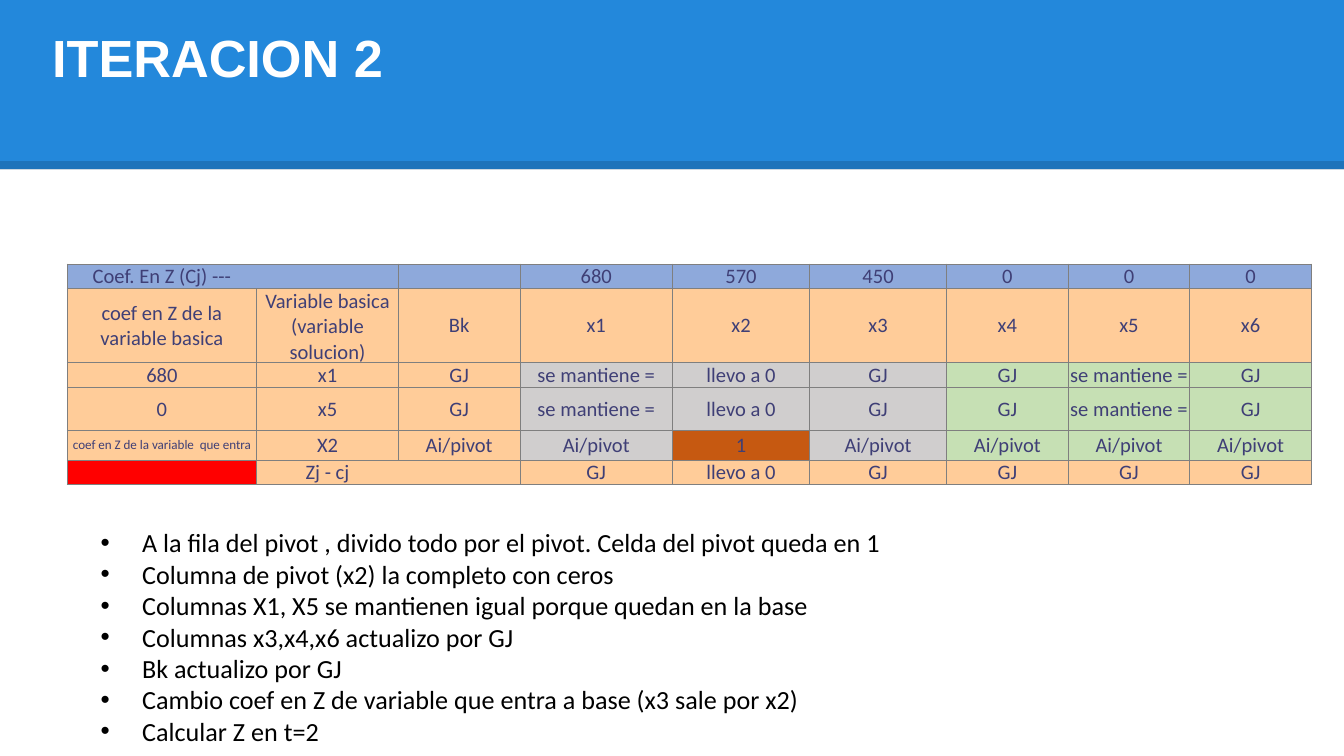
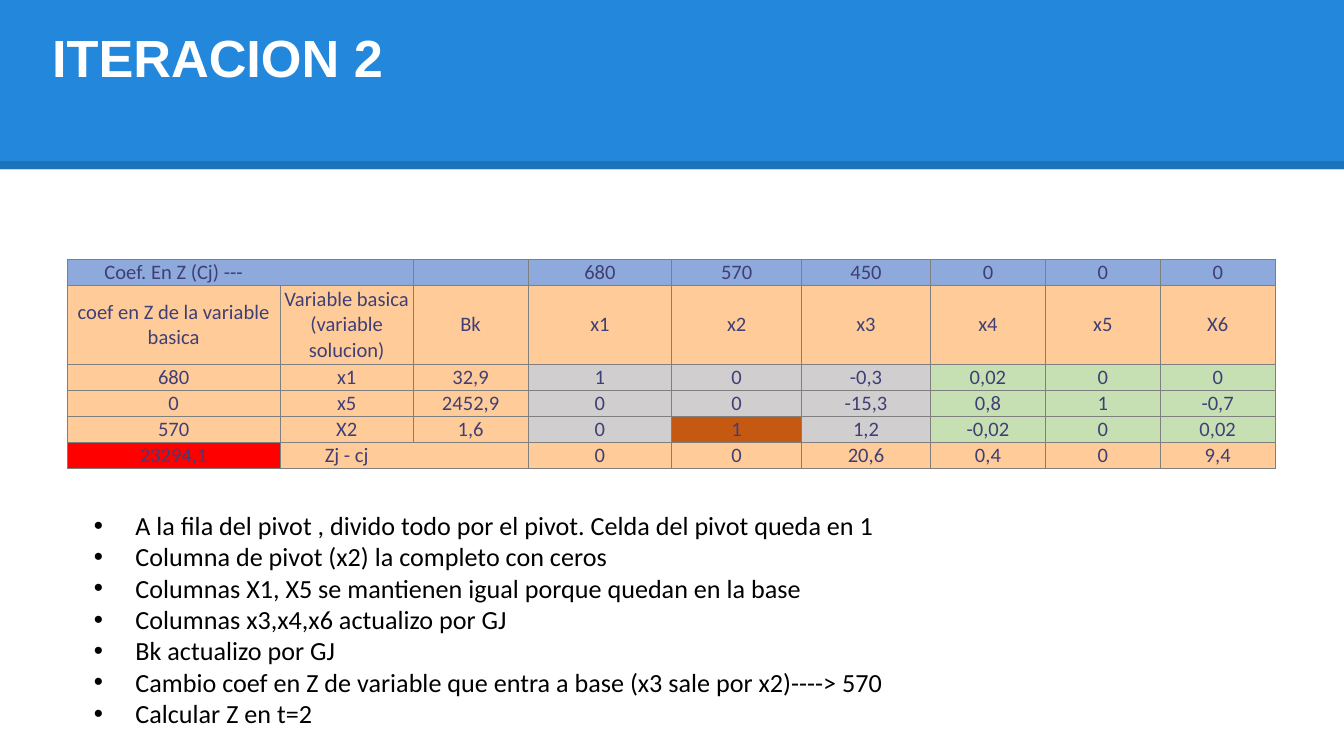
from lxml.etree import SubElement
from pptx import Presentation
from pptx.dml.color import RGBColor
from pptx.enum.shapes import MSO_CONNECTOR, MSO_SHAPE
from pptx.enum.text import MSO_ANCHOR, PP_ALIGN
from pptx.oxml.ns import qn
from pptx.util import Pt

PX = 4572
BLUE, PEACH, GREY, GREEN = "8EA9DB", "FFCC99", "D0CECE", "C6E0B4"
PIVOT, RED, BORDER = "C65911", "FF0000", "7F7F7F"

TITLE = {"name": "Arial", "size": Pt(28), "bold": True}
BODY = {"name": "Calibri", "size": Pt(14)}
CELL = {"name": "Calibri", "size": Pt(11)}
SMALL = {"name": "Calibri", "size": Pt(7)}
OPEN_SIDES = {(0, 0): "R", (0, 1): "L", (5, 1): "R", (5, 2): "L"}


def px(n):
    return n * PX


def color(target, value):
    target.rgb = RGBColor.from_string(value)


def apply(target, values):
    for key, value in values.items():
        setattr(target, key, value)


def cell_fill(row, col):
    if (row, col) == (4, 4):
        return PIVOT
    if (row, col) == (5, 0):
        return RED
    if row == 0:
        return BLUE
    if row in (1, 5):
        return PEACH
    return (PEACH, GREY, GREEN)[col // 3]


class Deck:
    def __init__(self, width, height):
        self.prs = Presentation()
        self.prs.slide_width, self.prs.slide_height = px(width), px(height)
        self.width = width

    def slide(self, title, title_height):
        self.s = self.prs.slides.add_slide(self.prs.slide_layouts[6])
        self.band()
        tf = self.box(58, 28, 1824, title_height)
        self.run(tf.paragraphs[0], title, TITLE, "FFFFFF")

    def band(self):
        sp = self.s.shapes.add_shape(MSO_SHAPE.RECTANGLE, 0, 0, px(self.width), px(252))
        sp.shadow.inherit = False
        sp.fill.solid()
        color(sp.fill.fore_color, "2388DB")
        sp.line.fill.background()
        line = self.s.shapes.add_connector(
            MSO_CONNECTOR.STRAIGHT, 0, px(246), px(self.width), px(246))
        line.line.width = Pt(4.5)
        color(line.line.color, "000000")
        props = line._element.spPr
        SubElement(next(props.iter(qn("a:srgbClr"))), qn("a:alpha"), val="14000")
        SubElement(props, qn("a:effectLst"))

    def box(self, x, y, w, h):
        tf = self.s.shapes.add_textbox(px(x), px(y), px(w), px(h)).text_frame
        apply(tf, {"word_wrap": True, "margin_left": px(20), "margin_right": px(20),
                   "margin_top": px(10), "margin_bottom": px(10)})
        return tf

    def run(self, p, text, style, hex_color):
        r = p.add_run()
        r.text = text
        apply(r.font, style)
        color(r.font.color, hex_color)

    def bullets(self, x, y, w, h, lines):
        tf = self.box(x, y, w, h)
        for i, text in enumerate(lines):
            p = tf.add_paragraph() if i else tf.paragraphs[0]
            pr = p._p.get_or_add_pPr()
            pr.set("marL", str(px(62)))
            pr.set("indent", str(px(-62)))
            SubElement(pr, qn("a:buFont"), typeface="Arial")
            SubElement(pr, qn("a:buChar"), char="•")
            self.run(p, text, BODY, "000000")

    def border(self, cell, open_side):
        pr = cell._tc.get_or_add_tcPr()
        for side in "LRTB":
            ln = SubElement(pr, qn("a:ln" + side), w=str(Pt(0.5)))
            if side == open_side:
                SubElement(ln, qn("a:noFill"))
            else:
                fill = SubElement(ln, qn("a:solidFill"))
                SubElement(fill, qn("a:srgbClr"), val=BORDER)

    def cell(self, cell, text, fill, open_side):
        self.border(cell, open_side)
        cell.fill.solid()
        color(cell.fill.fore_color, fill)
        apply(cell, {"margin_left": 0, "margin_right": 0, "margin_top": 0,
                     "margin_bottom": 0, "vertical_anchor": MSO_ANCHOR.MIDDLE})
        p = cell.text_frame.paragraphs[0]
        p.alignment = PP_ALIGN.CENTER
        if text:
            self.run(p, text, SMALL if text.endswith("entra") else CELL, "3F3F76")
        else:
            SubElement(p._p, qn("a:endParaRPr"), sz="1100")

    def table(self, x, y, widths, heights, rows):
        frame = self.s.shapes.add_table(len(rows), len(widths), px(x), px(y),
                                        px(sum(widths)), px(sum(heights)))
        tbl = frame.table
        apply(tbl, {"first_row": False, "horz_banding": False})
        for col, w in zip(tbl.columns, widths):
            col.width = px(w)
        for row, h in zip(tbl.rows, heights):
            row.height = px(h)
        for i, row in enumerate(rows):
            for j, text in enumerate(row):
                self.cell(tbl.cell(i, j), text, cell_fill(i, j), OPEN_SIDES.get((i, j)))


def heading(last):
    return [
        ["Coef. En Z (Cj) ---", "", "", "680", "570", "450", "0", "0", "0"],
        ["coef en Z de la variable basica", "Variable basica (variable solucion)",
         "Bk", "x1", "x2", "x3", "x4", "x5", last],
    ]


def steps(entering=""):
    return [
        "A la fila del pivot , divido todo por el pivot. Celda del pivot queda en 1",
        "Columna de pivot (x2) la completo con ceros",
        "Columnas X1, X5 se mantienen igual porque quedan en la base",
        "Columnas x3,x4,x6 actualizo por GJ",
        "Bk actualizo por GJ",
        "Cambio coef en Z de variable que entra a base (x3 sale por x2)" + entering,
        "Calcular Z en t=2",
    ]


def main():
    deck = Deck(2000, 1125)

    kept = ["GJ", "se mantiene =", "llevo a 0", "GJ", "GJ", "se mantiene =", "GJ"]
    divided = ["Ai/pivot"] * 2 + ["1"] + ["Ai/pivot"] * 4
    rules = heading("x6") + [
        ["680", "x1"] + kept,
        ["0", "x5"] + kept,
        ["coef en Z de la variable  que entra", "X2"] + divided,
        ["", "Zj - cj", "", "GJ", "llevo a 0"] + ["GJ"] * 4,
    ]
    deck.slide("ITERACION 2", 162)
    deck.bullets(130, 774, 1452, 350, steps())
    deck.table(100, 393, [282, 211, 181, 227, 204, 204, 181, 181, 181],
               [36, 103, 37, 64, 44, 35], rules)

    values = heading("X6") + [
        ["680", "x1", "32,9", "1", "0", "-0,3", "0,02", "0", "0"],
        ["0", "x5", "2452,9", "0", "0", "-15,3", "0,8", "1", "-0,7"],
        ["570", "X2", "1,6", "0", "1", "1,2", "-0,02", "0", "0,02"],
        ["23294,1", "Zj - cj", "", "0", "0", "20,6", "0,4", "0", "9,4"],
    ]
    deck.slide("ITERACION 2", 398)
    deck.table(100, 386, [317, 198, 171, 214, 193, 192, 171, 171, 171],
               [39, 117] + [39] * 4, values)
    deck.bullets(120, 748, 1452, 398, steps("----> 570"))

    deck.prs.save("out.pptx")


if __name__ == "__main__":
    main()
